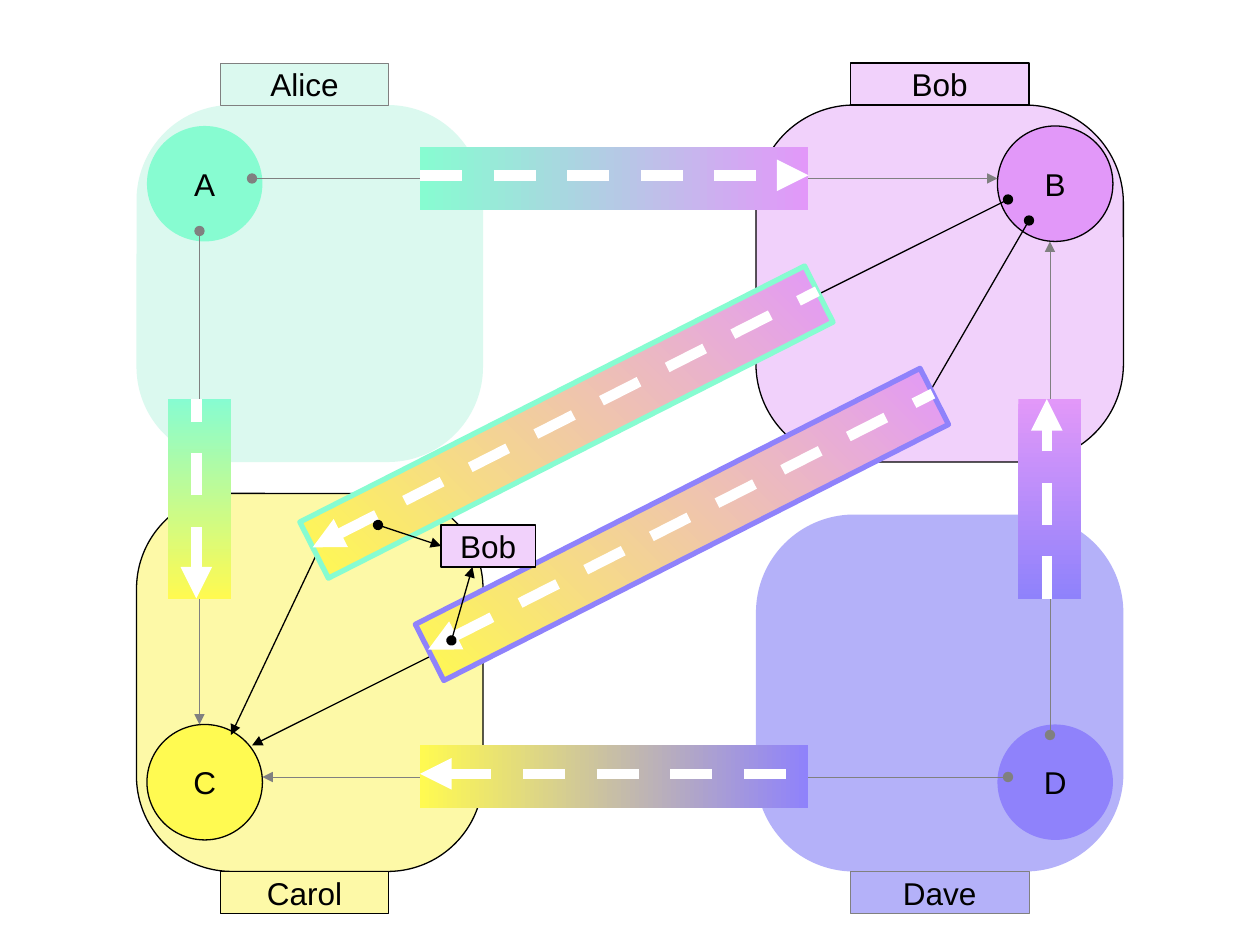
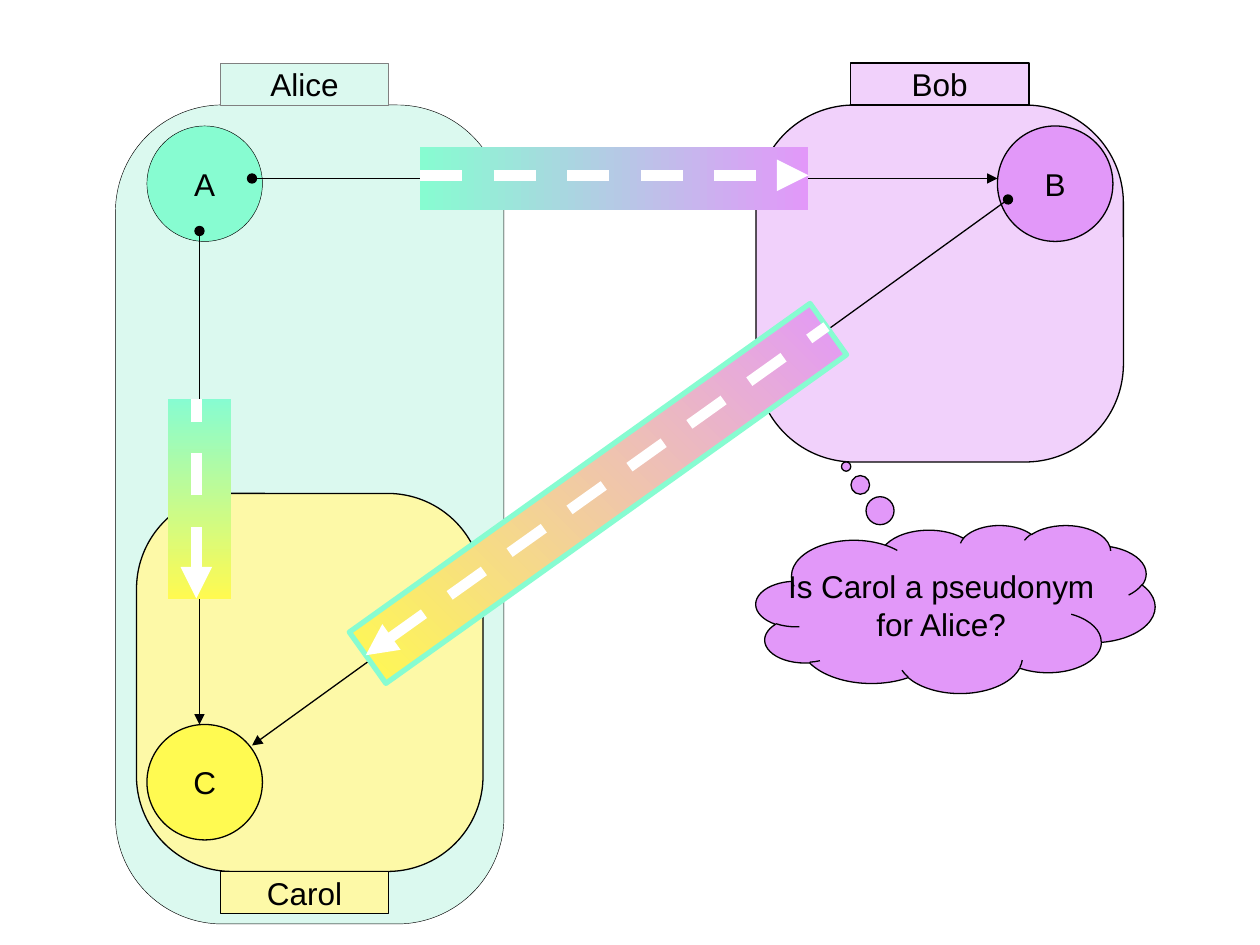
import math
from pptx import Presentation
from pptx import util as u
from pptx.dml.color import RGBColor
from pptx.enum import dml, shapes, text
from pptx.oxml.ns import qn
from lxml import etree

HEX = {
    "black": "000000", "grey": "808080", "white": "FFFFFF",
    "alice": "87FCD1", "alice_pale": "DBF9EF",
    "bob": "E298F9", "bob_pale": "F1D1FB",
    "carol": "FFFA51", "carol_pale": "FDF9A7",
    "dave": "8F82FB", "dave_pale": "B4B1F9",
}
COLS, ROWS = 120, 90
FINE, THIN, EDGE, DASH = 0.25, 0.75, 3, 6
BLACK, HAIR, GREY = ("black", THIN), ("black", FINE), ("grey", FINE)
KIND = shapes.MSO_SHAPE
PIPE_WIDTH = 6


class Diagram:
    """Draws on the current slide in cells of a 120 by 90 grid."""

    font = {"name": "Arial", "size": u.Pt(18)}
    frame = {"word_wrap": False, "vertical_anchor": text.MSO_ANCHOR.MIDDLE}

    def __init__(self, prs):
        self.prs = prs
        self.cell_w = prs.slide_width / COLS
        self.cell_h = prs.slide_height / ROWS

    def new_slide(self):
        self.s = self.prs.slides.add_slide(self.prs.slide_layouts[6])

    def x(self, col):
        return round(col * self.cell_w)

    def y(self, row):
        return round(row * self.cell_h)

    @staticmethod
    def rgb(name):
        return RGBColor.from_string(HEX[name])

    def outline(self, line, pen):
        if pen is None:
            line.fill.background()
            return
        color, width = pen
        line.color.rgb = self.rgb(color)
        line.width = u.Pt(width)

    def shape(self, kind, box, fill, pen=None, words=()):
        col, row, w, h = box
        sp = self.s.shapes.add_shape(kind, self.x(col), self.y(row), self.x(w), self.y(h))
        sp.shadow.inherit = False
        sp.fill.solid()
        sp.fill.fore_color.rgb = self.rgb(fill)
        self.outline(sp.line, pen)
        if words:
            self.set_words(sp.text_frame, words)
        return sp

    def set_words(self, tf, words):
        for key, value in self.frame.items():
            setattr(tf, key, value)
        for i, line in enumerate(words):
            p = tf.add_paragraph() if i else tf.paragraphs[0]
            p.alignment = text.PP_ALIGN.CENTER
            r = p.add_run()
            r.text = line
            for key, value in self.font.items():
                setattr(r.font, key, value)
            r.font.color.rgb = self.rgb("black")

    def room(self, box, fill, pen=None):
        self.shape(KIND.ROUNDED_RECTANGLE, box, fill, pen).adjustments[0] = 0.275

    def node(self, letter, col, row, fill, pen=None):
        self.shape(KIND.OVAL, (col, row, 11, 11), fill, pen, [letter])

    def label(self, name, box, fill, pen):
        return self.shape(KIND.RECTANGLE, box, fill, pen, [name])

    def line(self, start, end, pen, head="oval", tail="triangle", dashed=False):
        ends = [f(v) for point in (start, end) for f, v in zip((self.x, self.y), point)]
        cx = self.s.shapes.add_connector(shapes.MSO_CONNECTOR.STRAIGHT, *ends)
        self.outline(cx.line, pen)
        if dashed:
            cx.line.dash_style = dml.MSO_LINE.DASH
        ln = cx._element.spPr.find(qn("a:ln"))
        for tag, kind in (("a:headEnd", head), ("a:tailEnd", tail)):
            if kind:
                etree.SubElement(ln, qn(tag)).set("type", kind)
        etree.SubElement(cx._element.spPr, qn("a:effectLst"))
        return cx

    def pipe(self, center, length, turn, far, near, forward=False, edge=None):
        """A turned bar shaded from its far (right) to its near end, with a dashed arrow."""
        cx, cy = center
        box = (cx - length / 2, cy - PIPE_WIDTH / 2, length, PIPE_WIDTH)
        sp = self.shape(KIND.RECTANGLE, box, far, edge and (edge, EDGE))
        sp.rotation = turn
        sp.fill.gradient()
        sp.fill.gradient_angle = {0: 180, 270: 270}.get(turn, 225)
        for stop, color in zip(sp.fill.gradient_stops, (far, near)):
            stop.color.rgb = self.rgb(color)
        sp._element.spPr.find(qn("a:gradFill")).set("rotWithShape", "0")

        cos, sin = math.cos(math.radians(turn)), math.sin(math.radians(turn))
        lift = 0.3
        start, end = ((cx + d * cos + lift * sin, cy + d * sin - lift * cos)
                      for d in (-length / 2, length / 2))
        head, tail = (None, "triangle") if forward else ("triangle", None)
        self.line(start, end, ("white", DASH), head, tail, dashed=True)

    def people(self, alice_box, alice_pen=None):
        """The rooms, nodes and labels of Alice, Bob and Carol."""
        self.room(alice_box, "alice_pale", alice_pen)
        self.room((72, 10, 35, 34), "bob_pale", BLACK)
        self.room((13, 47, 33, 36), "carol_pale", BLACK)
        self.node("A", 14, 12, "alice", alice_pen)
        self.node("B", 95, 12, "bob", BLACK)
        self.node("C", 14, 69, "carol", BLACK)
        self.label("Alice", (21, 6, 16, 4), "alice_pale", GREY)
        self.label("Bob", (81, 6, 17, 4), "bob_pale", BLACK)
        self.label("Carol", (21, 83, 16, 4), "carol_pale", BLACK)

    def alice_lines(self, pen):
        self.line((24, 17), (95, 17), pen)
        self.line((19, 22), (19, 69), pen)

    def alice_pipes(self):
        self.pipe((58.5, 17), 37, 0, "bob", "alice", forward=True)
        self.pipe((19, 47.5), 19, 270, "alice", "carol")


def four_people(d):
    d.new_slide()
    d.people((13, 10, 33, 34))
    d.room((72, 49, 35, 34), "dave_pale")
    d.node("D", 95, 69, "dave")
    d.label("Dave", (81, 83, 17, 4), "dave_pale", GREY)

    d.alice_lines(GREY)
    d.line((96, 74), (25, 74), GREY)
    d.line((100, 70), (100, 23), GREY)
    for start, end in (((96, 19), (76, 29)), ((31, 51), (22, 70)),
                       ((98, 21), (87, 40)), ((42, 62), (24, 71))):
        d.line(start, end, BLACK)

    d.alice_pipes()
    d.pipe((58.5, 74), 37, 0, "dave", "carol")
    d.pipe((100, 47.5), 19, 270, "bob", "dave", forward=True)
    d.pipe((53.95, 40.2), 53.9, 333.1, "bob", "carol", edge="alice")
    d.pipe((64.95, 49.95), 53.9, 333.1, "bob", "carol", edge="dave")

    tag = d.label("Bob", (42, 50, 9, 4), "bob_pale", BLACK)
    d.line((36, 50), (42, 52), BLACK).end_connect(tag, 1)
    d.line((43, 61), (45, 54), BLACK)


def pseudonym(d):
    d.new_slide()
    d.people((11, 10, 37, 78), HAIR)
    d.alice_lines(HAIR)
    d.line((96, 19), (24, 71), BLACK)
    d.alice_pipes()
    d.pipe((56.95, 47), 53.9, 324.5, "bob", "carol", edge="alice")
    cloud = d.shape(KIND.CLOUD_CALLOUT, (72, 50, 38, 16), "bob", BLACK,
                    ["Is Carol a pseudonym", "for Alice?"])
    cloud.adjustments[0], cloud.adjustments[1] = -0.274, -0.848


def main():
    prs = Presentation()
    prs.slide_width, prs.slide_height = u.Inches(10), u.Inches(7.5)
    d = Diagram(prs)
    four_people(d)
    pseudonym(d)
    prs.save("out.pptx")


if __name__ == "__main__":
    main()
